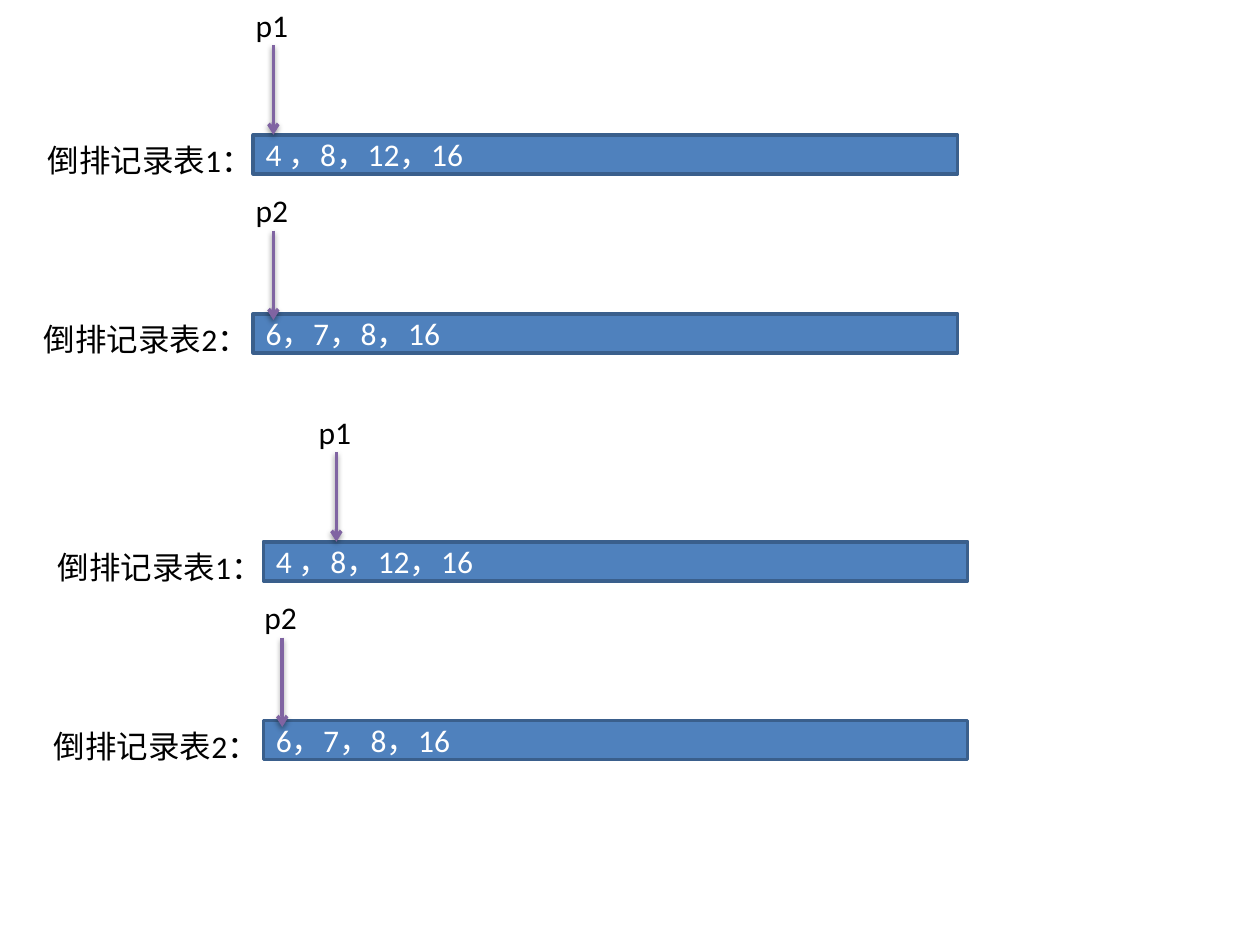
from lxml.etree import SubElement
from pptx import Presentation
from pptx.dml.color import RGBColor
from pptx.enum.shapes import MSO_CONNECTOR as Connector, MSO_SHAPE as Shape
from pptx.enum.text import MSO_ANCHOR as Anchor, MSO_AUTO_SIZE as AutoSize, PP_ALIGN as Align
from pptx.oxml.ns import qn
from pptx.util import Inches, Pt

COLORS = {"bar": "4F81BD", "edge": "3A5F8C", "arrow": "8064A2",
          "light": "FFFFFF", "dark": "000000"}
FONT = {"name": "Calibri", "size": Pt(18)}
BAR_WIDTH, BAR_HEIGHT = 5.59, 0.31
LABEL_WIDTH, POINTER_WIDTH, TEXT_HEIGHT = 1.84, 0.46, 0.4
ARROW_LENGTH = 0.71

deck = Presentation()
deck.slide_width, deck.slide_height = Inches(10), Inches(7.5)
page = deck.slides.add_slide(deck.slide_layouts[6])


def write(box, text, color, **frame_format):
    frame = box.text_frame
    for key, value in frame_format.items():
        setattr(frame, key, value)
    para = frame.paragraphs[0]
    para.alignment = Align.LEFT
    span = para.add_run()
    span.text = text
    for key, value in FONT.items():
        setattr(span.font, key, value)
    span.font.color.rgb = RGBColor.from_string(COLORS[color])


def add_arrow(x, top):
    arrow = page.shapes.add_connector(
        Connector.STRAIGHT, Inches(x), Inches(top), Inches(x), Inches(top + ARROW_LENGTH))
    arrow.line.color.rgb = RGBColor.from_string(COLORS["arrow"])
    arrow.line.width = Pt(2)
    SubElement(arrow.line._get_or_add_ln(), qn("a:tailEnd"), type="arrow")
    # Soft shadow straight below the line
    effects = SubElement(arrow._element.spPr, qn("a:effectLst"))
    shadow = SubElement(effects, qn("a:outerShdw"), blurRad=str(Pt(3.1)),
                        dist=str(Pt(1.6)), dir="5400000", rotWithShape="0")
    tint = SubElement(shadow, qn("a:srgbClr"), val=COLORS["dark"])
    SubElement(tint, qn("a:alpha"), val="38000")


# Postings lists: number, values, bar offset, label offset, arrow offset in a step
POSTINGS = [(1, "4 ，8，12，16", 0, 0.28, 0.36),
            (2, "6，7，8，16", 1.42, 0.25, 1.83)]
# Steps: top of first bar, shift to the right, x of the two pointers
STEPS = [(1.07, 0, (2.17, 2.17)), (4.3, 0.08, (2.67, 2.24))]

for step_top, shift, pointers in STEPS:
    for (number, values, offset, label_x, arrow_y), pointer_x in zip(POSTINGS, pointers):
        # Bar with the document numbers
        bar = page.shapes.add_shape(
            Shape.RECTANGLE, Inches(2.01 + shift), Inches(step_top + offset),
            Inches(BAR_WIDTH), Inches(BAR_HEIGHT))
        bar.shadow.inherit = False
        bar.fill.solid()
        bar.fill.fore_color.rgb = RGBColor.from_string(COLORS["bar"])
        bar.line.color.rgb = RGBColor.from_string(COLORS["edge"])
        bar.line.width = Pt(2)
        write(bar, values, "light", vertical_anchor=Anchor.MIDDLE, word_wrap=True)

        # Name of the list
        label = page.shapes.add_textbox(
            Inches(label_x + shift), Inches(step_top + offset),
            Inches(LABEL_WIDTH), Inches(TEXT_HEIGHT))
        write(label, f"倒排记录表{number}：", "dark", word_wrap=True)

        # Pointer with its name above
        arrow_top = step_top - 1.07 + arrow_y
        add_arrow(pointer_x, arrow_top)
        name = page.shapes.add_textbox(
            Inches(pointer_x - 0.24), Inches(arrow_top - 0.36),
            Inches(POINTER_WIDTH), Inches(TEXT_HEIGHT))
        write(name, f"p{number}", "dark", word_wrap=False,
              auto_size=AutoSize.SHAPE_TO_FIT_TEXT)

deck.save("out.pptx")
